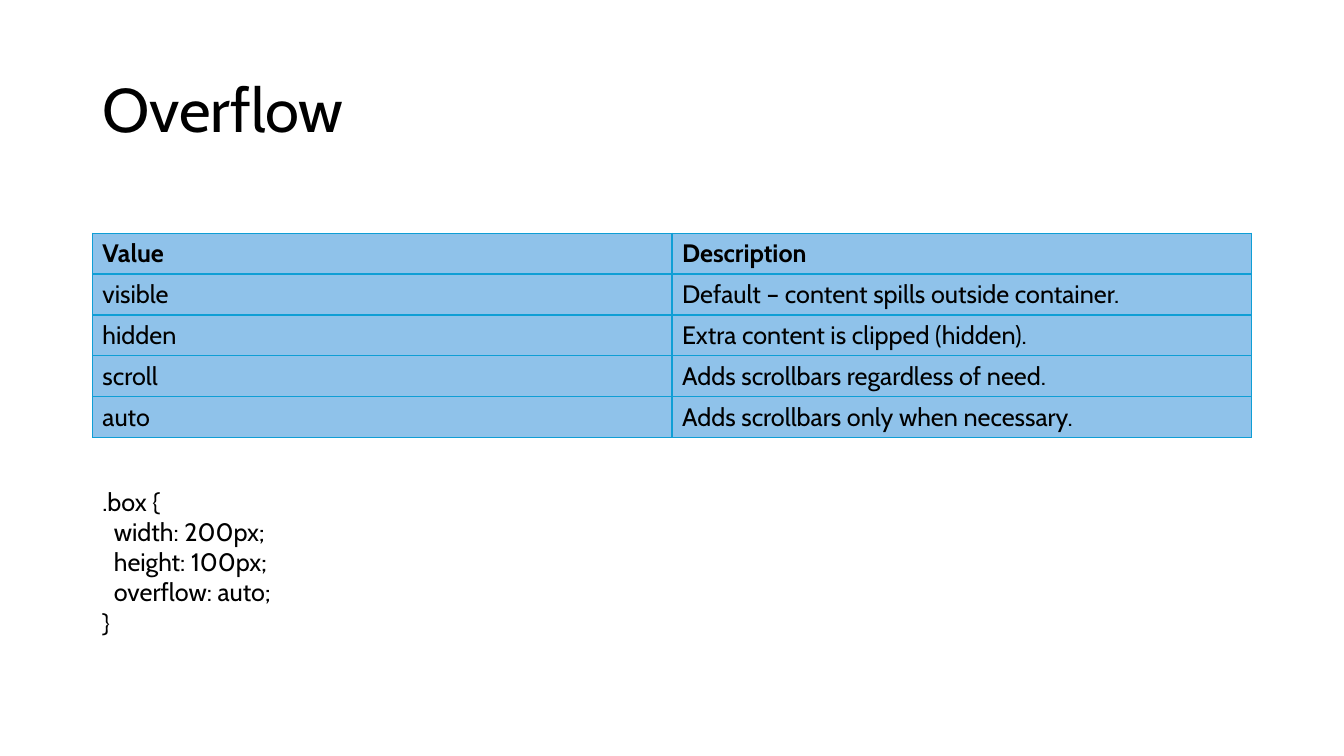
from lxml.etree import SubElement
from pptx import Presentation
from pptx.dml.color import RGBColor
from pptx.enum.text import MSO_ANCHOR
from pptx.oxml.ns import qn
from pptx.util import Pt

PX = 9525
FONT = "Cabin"
BLACK = RGBColor(0x00, 0x00, 0x00)
CELL_BLUE = RGBColor(0x8F, 0xC2, 0xEA)
BORDER_BLUE = RGBColor(0x0F, 0x9E, 0xD5)

LEFT, WIDTH = 88, 1104
ROW_HEIGHT = 39
CODE_INDENT = 11

OVERFLOW_VALUES = [
    ("Value", "Description"),
    ("visible", "Default – content spills outside container."),
    ("hidden", "Extra content is clipped (hidden)."),
    ("scroll", "Adds scrollbars regardless of need."),
    ("auto", "Adds scrollbars only when necessary."),
]
CODE_LINES = [
    (".box {", 0),
    ("width: 200px;", 1),
    ("height: 100px;", 1),
    ("overflow: auto;", 1),
    ("}", 0),
]


def px(*lengths):
    """Turn pixel lengths into a list of EMU."""
    return [length * PX for length in lengths]


def write(paragraph, text, size=18, bold=False, line_spacing=None, indent=0):
    """Put formatted text into a paragraph."""
    run = paragraph.add_run()
    run.text = text
    run.font.name = FONT
    run.font.size = Pt(size)
    run.font.bold = bold
    run.font.color.rgb = BLACK
    if line_spacing:
        paragraph.line_spacing = line_spacing
    if indent:
        paragraph._p.get_or_add_pPr().set("marL", str(indent * PX))


def add_text_box(slide, box, lines, anchor=MSO_ANCHOR.TOP, **text_format):
    """Add a wrapping text box with one paragraph per (text, level) line."""
    frame = slide.shapes.add_textbox(*px(*box)).text_frame
    frame.word_wrap = True
    frame.vertical_anchor = anchor
    for index, (text, level) in enumerate(lines):
        paragraph = frame.add_paragraph() if index else frame.paragraphs[0]
        write(paragraph, text, indent=level * CODE_INDENT, **text_format)


def set_borders(cell, color, width):
    """Draw a solid line on all four sides of a cell."""
    properties = cell._tc.get_or_add_tcPr()
    for position, side in enumerate(("lnL", "lnR", "lnT", "lnB")):
        line = SubElement(properties, qn(f"a:{side}"), w=str(Pt(width)))
        fill = SubElement(line, qn("a:solidFill"))
        SubElement(fill, qn("a:srgbClr"), val=str(color))
        properties.insert(position, line)


def add_value_table(slide, left, top, width, rows):
    """Add a bordered table whose first row is bold."""
    column_count = len(rows[0])
    box = px(left, top, width, ROW_HEIGHT * len(rows))
    table = slide.shapes.add_table(len(rows), column_count, *box).table
    for row_index, texts in enumerate(rows):
        for column_index, text in enumerate(texts):
            cell = table.cell(row_index, column_index)
            cell.fill.solid()
            cell.fill.fore_color.rgb = CELL_BLUE
            cell.vertical_anchor = MSO_ANCHOR.MIDDLE
            set_borders(cell, BORDER_BLUE, 1)
            write(cell.text_frame.paragraphs[0], text, bold=row_index == 0)


def main():
    """Build the overflow slide and save it."""
    presentation = Presentation()
    presentation.slide_width, presentation.slide_height = px(1280, 720)
    slide = presentation.slides.add_slide(presentation.slide_layouts[6])
    add_text_box(slide, (LEFT, 38, WIDTH, 139), [("Overflow", 0)],
                 anchor=MSO_ANCHOR.MIDDLE, size=44, line_spacing=0.9)
    add_value_table(slide, LEFT, 222, WIDTH, OVERFLOW_VALUES)
    add_text_box(slide, (LEFT, 458, 640, 155), CODE_LINES)
    presentation.save("out.pptx")


if __name__ == "__main__":
    main()
